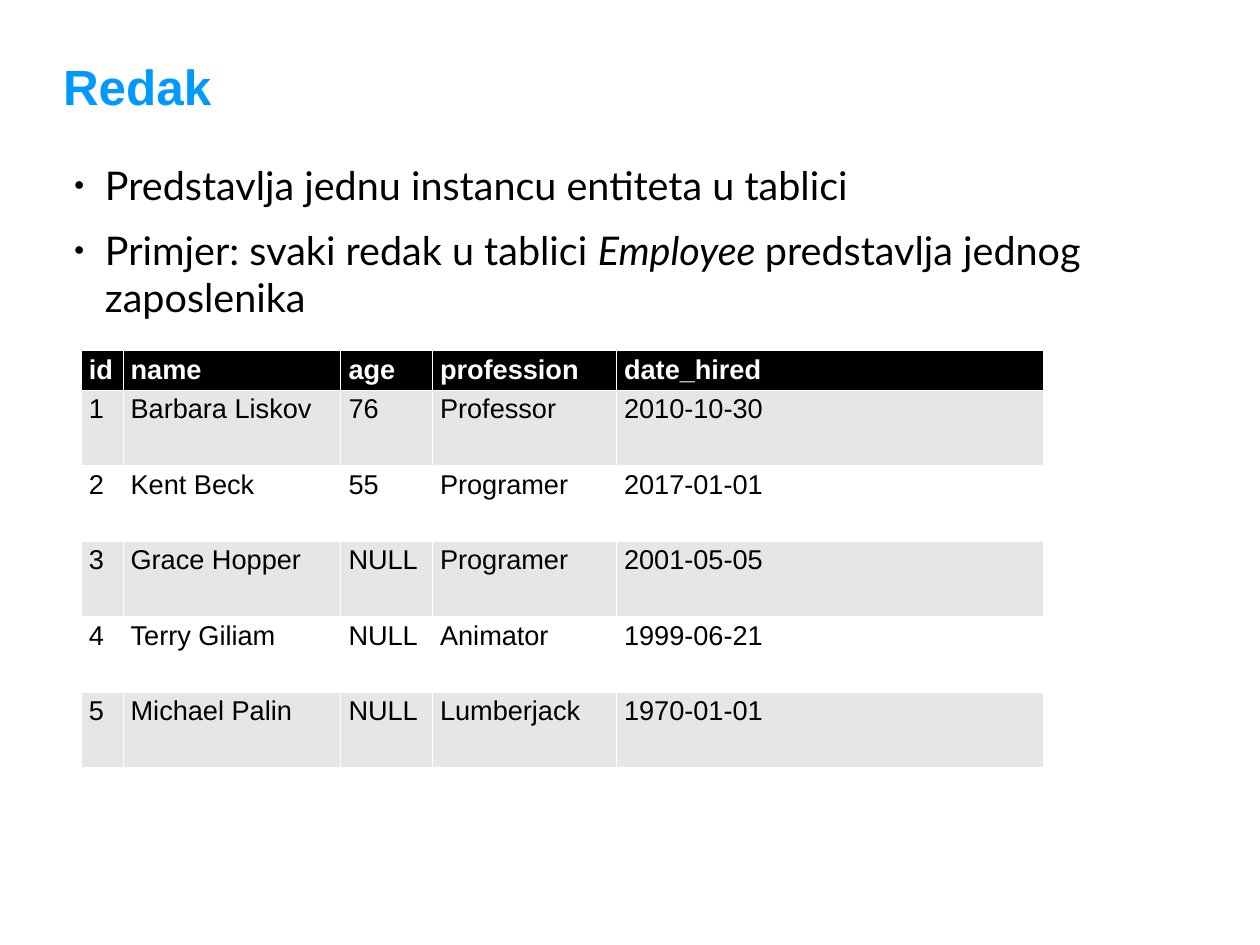
from lxml.etree import SubElement
from pptx import Presentation
from pptx.dml.color import RGBColor
from pptx.enum.text import MSO_ANCHOR, MSO_AUTO_SIZE, PP_ALIGN
from pptx.oxml.ns import qn
from pptx.util import Inches, Pt

TITLE = "Redak"
BULLETS = [
    [("Predstavlja jednu instancu entiteta u tablici", False)],
    [("Primjer: svaki redak u tablici ", False), ("Employee ", True),
     ("predstavlja jednog zaposlenika", False)],
]
EMPLOYEES = [
    ("id", "name", "age", "profession", "date_hired"),
    ("1", "Barbara Liskov", "76", "Professor", "2010-10-30"),
    ("2", "Kent Beck", "55", "Programer", "2017-01-01"),
    ("3", "Grace Hopper", "NULL", "Programer", "2001-05-05"),
    ("4", "Terry Giliam", "NULL", "Animator", "1999-06-21"),
    ("5", "Michael Palin", "NULL", "Lumberjack", "1970-01-01"),
]
COLUMN_WIDTHS = (0.47, 2.45, 1.03, 2.07, 4.8)
HEADER_HEIGHT, ROW_HEIGHT = 0.29, 0.85
CELL_MARGIN = 0.09

BLUE = RGBColor(0x00, 0x99, 0xFF)
BLACK = RGBColor(0x00, 0x00, 0x00)
WHITE = RGBColor(0xFF, 0xFF, 0xFF)
GREY = RGBColor(0xE6, 0xE6, 0xE6)


def place(shape, left, top, width, height):
    shape.left, shape.top = Inches(left), Inches(top)
    shape.width, shape.height = Inches(width), Inches(height)
    frame = shape.text_frame
    frame.margin_left = frame.margin_right = 0
    frame.margin_top = frame.margin_bottom = 0
    frame.word_wrap = True
    return frame


def set_font(para, name, size, color, bold=False):
    font = para.font
    font.name, font.size, font.bold = name, Pt(size), bold
    font.color.rgb = color


def add_bullet(para):
    props = para._p.get_or_add_pPr()
    props.set("marL", str(Inches(0.47)))
    props.set("indent", str(Inches(-0.35)))
    color = SubElement(props, qn("a:buClr"))
    SubElement(color, qn("a:srgbClr"), val=str(BLACK))
    SubElement(props, qn("a:buSzPct"), val="45000")
    SubElement(props, qn("a:buChar"), char="●")


def add_borders(cell):
    props = cell._tc.get_or_add_tcPr()
    for index, side in enumerate(("lnL", "lnR", "lnT", "lnB")):
        line = props.makeelement(qn(f"a:{side}"), {"w": str(Pt(0.06))})
        fill = SubElement(line, qn("a:solidFill"))
        SubElement(fill, qn("a:srgbClr"), val=str(WHITE))
        props.insert(index, line)


def add_title(slide):
    frame = place(slide.shapes.title, 0.71, 0.47, 10.16, 0.99)
    frame.auto_size = MSO_AUTO_SIZE.SHAPE_TO_FIT_TEXT
    frame.vertical_anchor = MSO_ANCHOR.MIDDLE
    frame.text = TITLE
    para = frame.paragraphs[0]
    para.alignment = PP_ALIGN.LEFT
    set_font(para, "Arial", 40, BLUE, bold=True)


def add_body(slide):
    frame = place(slide.placeholders[1], 0.71, 1.81, 12.76, 7.87)
    frame.auto_size = MSO_AUTO_SIZE.NONE
    for index, spans in enumerate(BULLETS):
        para = frame.add_paragraph() if index else frame.paragraphs[0]
        add_bullet(para)
        para.space_before = Pt(14.2 if index else 0)
        set_font(para, "Lato", 32, BLACK)
        for text, italic in spans:
            span = para.add_run()
            span.text = text
            if italic:
                span.font.italic = True


def add_employees(slide):
    heights = [HEADER_HEIGHT] + [ROW_HEIGHT] * (len(EMPLOYEES) - 1)
    table = slide.shapes.add_table(
        len(EMPLOYEES), len(COLUMN_WIDTHS), Inches(0.91), Inches(3.94),
        Inches(sum(COLUMN_WIDTHS)), Inches(sum(heights))).table
    for column, width in zip(table.columns, COLUMN_WIDTHS):
        column.width = Inches(width)
    for row_index, (row, height) in enumerate(zip(table.rows, heights)):
        row.height = Inches(height)
        header = row_index == 0
        fill = BLACK if header else GREY if row_index % 2 else WHITE
        for cell, text in zip(row.cells, EMPLOYEES[row_index]):
            cell.text = text
            cell.margin_left = cell.margin_right = Inches(CELL_MARGIN)
            cell.fill.solid()
            cell.fill.fore_color.rgb = fill
            add_borders(cell)
            set_font(cell.text_frame.paragraphs[0], "Arial", 22,
                     WHITE if header else BLACK, bold=header)


def main():
    deck = Presentation()
    deck.slide_width, deck.slide_height = Inches(14.17), Inches(10.63)
    page = deck.slides.add_slide(deck.slide_layouts[1])
    add_title(page)
    add_body(page)
    add_employees(page)
    deck.save("out.pptx")


if __name__ == "__main__":
    main()
